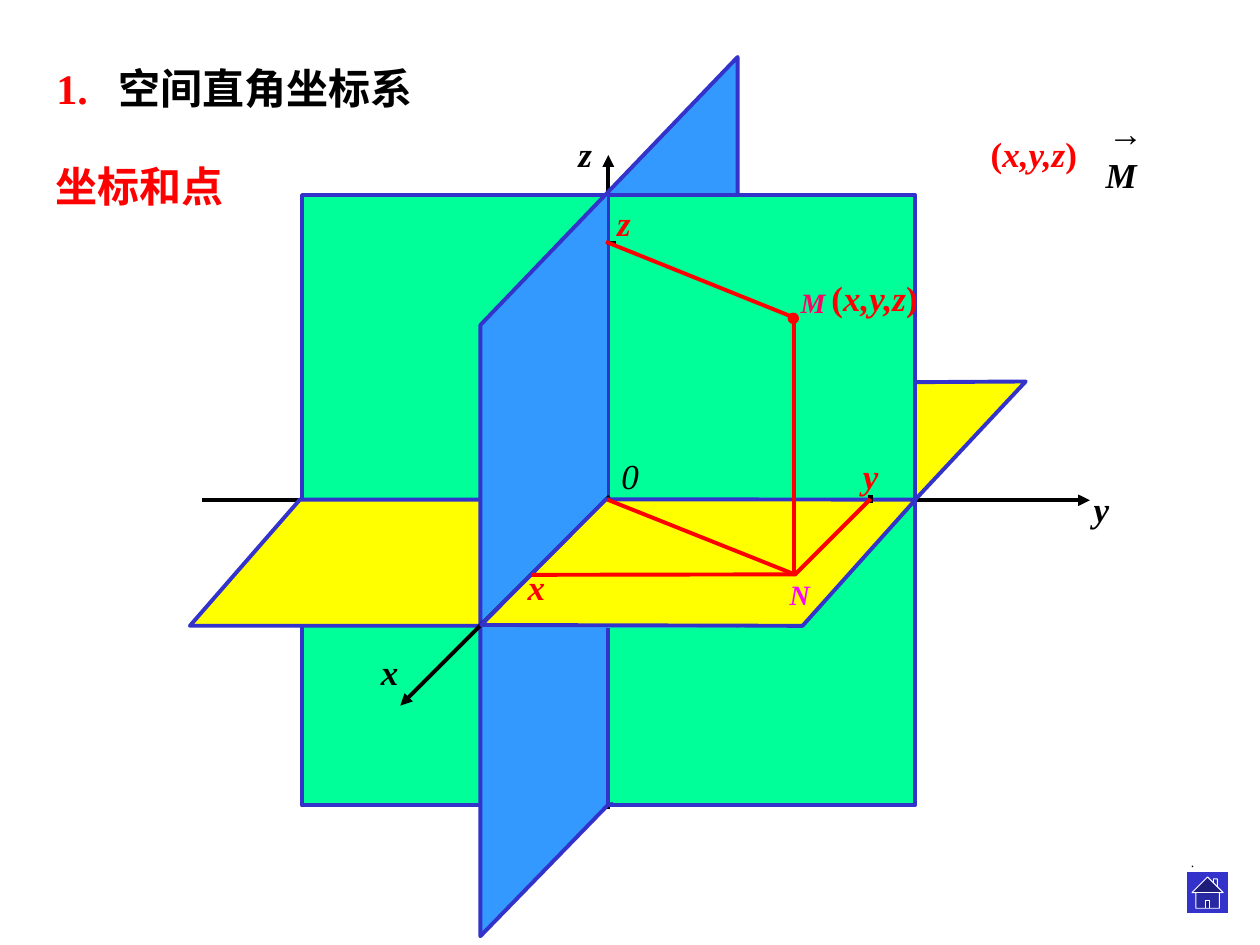
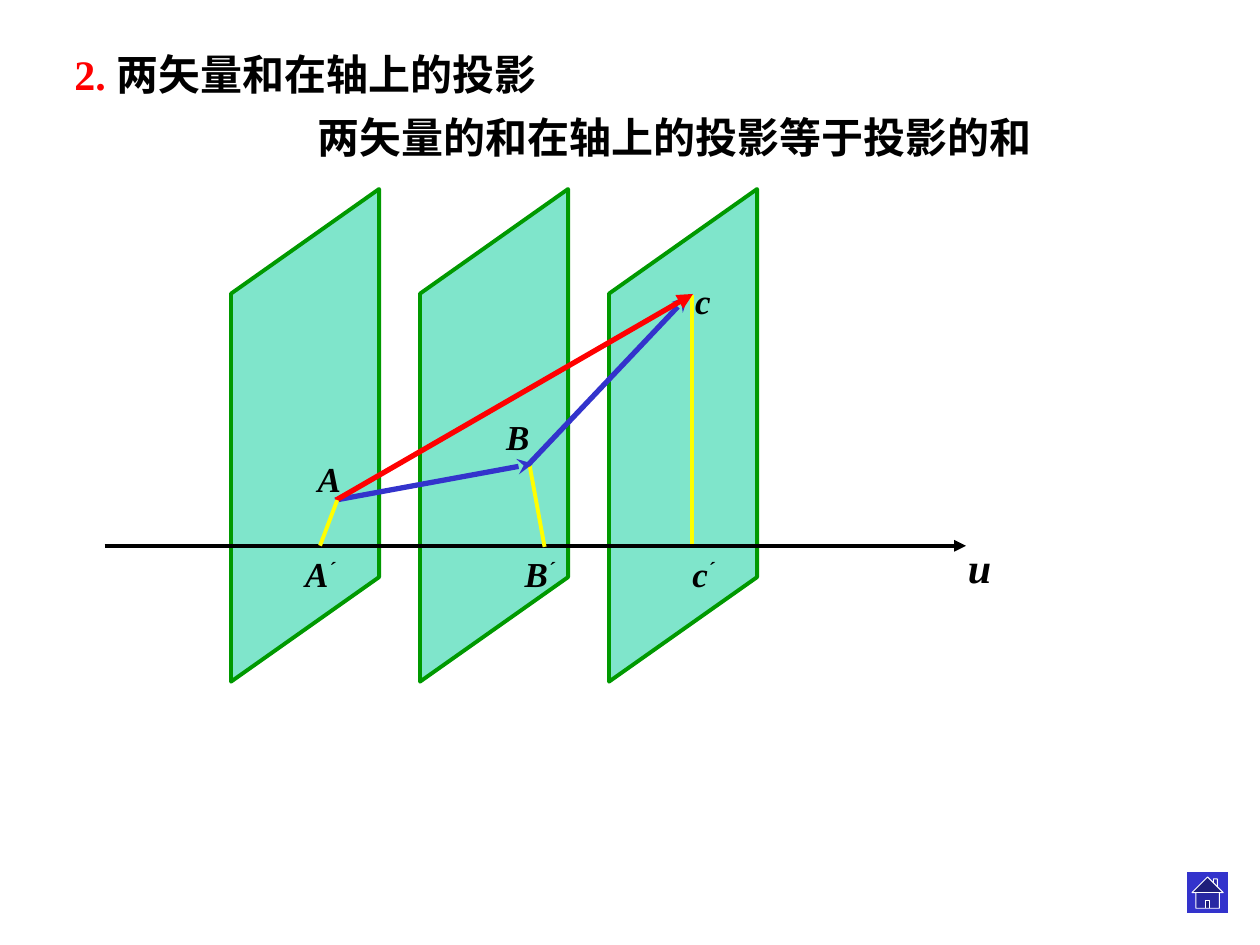
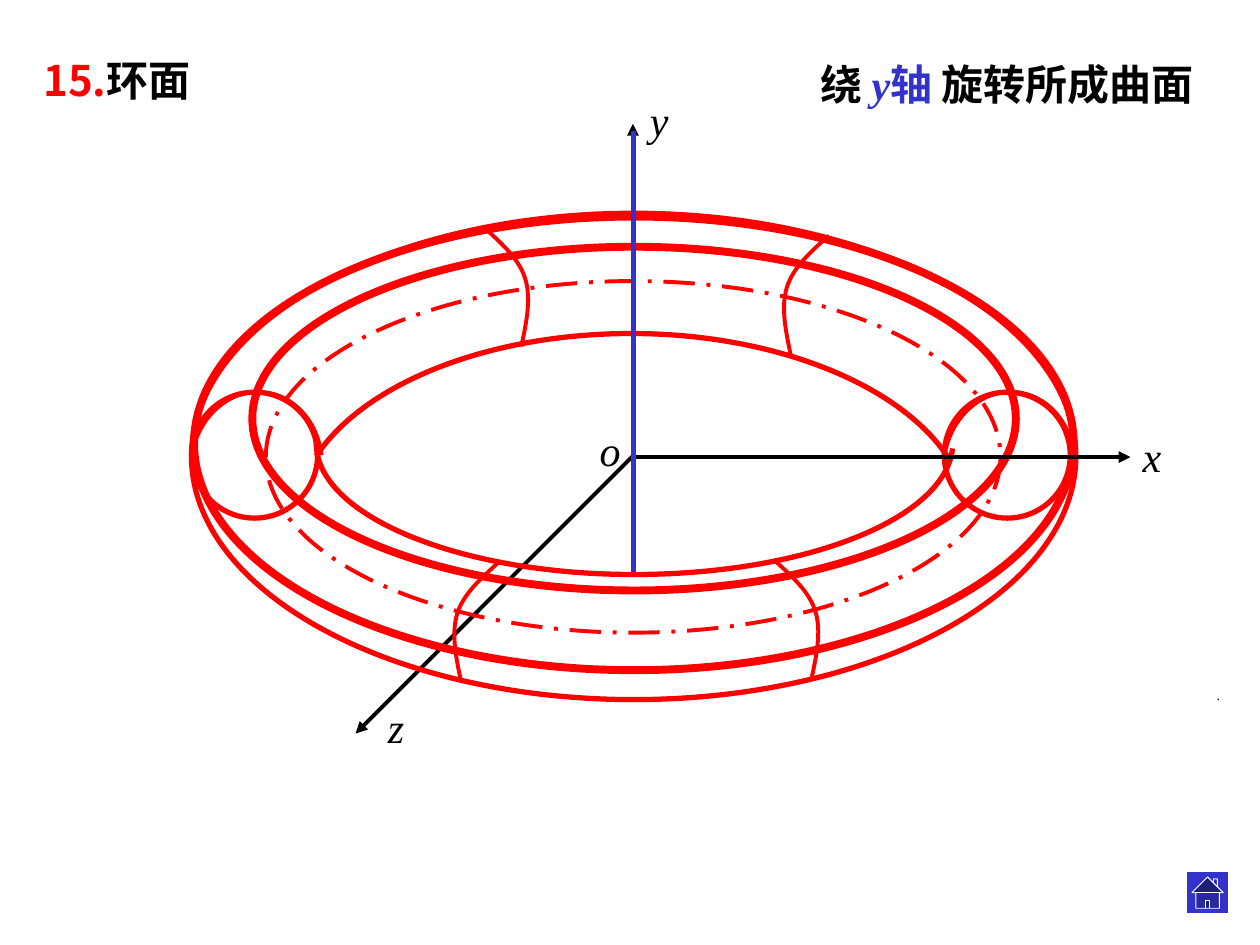
"""Build three slides on space coordinates, projections and the torus."""
import pptx
import pptx.dml.color
import pptx.enum.dml
import pptx.enum.shapes
import pptx.enum.text
import pptx.oxml.ns
import pptx.util
from lxml import etree

Pt = pptx.util.Pt
SHAPE = pptx.enum.shapes.MSO_SHAPE
ALIGN = pptx.enum.text.PP_ALIGN
ANCHOR = pptx.enum.text.MSO_ANCHOR
AUTO_SIZE = pptx.enum.text.MSO_AUTO_SIZE

BLACK, WHITE, RED, BLUE = "000000", "FFFFFF", "FF0000", "3333CC"
GREEN, SKY, YELLOW = "00FF99", "3399FF", "FFFF00"
LATIN, CJK = "Times New Roman", "Noto Sans CJK SC"
THIN, THICK, HEAVY = 2.25, 3, 4.5
HOME_BOX = (678.2, 498.2, 23.8, 23.8)
HEADING_TAB = 35.5

ORIGIN = (347.7, 285.9)
PANEL = (175.1, 174.4)
DOT = [(".", 8, BLACK, "")]

COORDINATE_TITLE = ((672.5, 480.2, 18, 25.2), ALIGN.CENTER, DOT)
COORDINATE_HEADING = ((25.2, 32.4, 225.4, 31),
                      [("1.\t", 24, RED, "b"), ("空间直角坐标系", 24, BLACK, "b")])
COORDINATE_FIGURE = [
    ("rectangle", (172.8, 112.3, 349.9, 347), GREEN, BLUE, THICK),
    ("line", (115.2, 285.9), (622.8, 285.9), BLACK, THIN, "triangle"),
    ("line", (347.6, 462.2), (347.6, 88.6), BLACK, THIN, "triangle"),
    ("panel", -1, 0),
    ("panel", 0, 0),
    ("panel", -1, -1),
    ("area", [(522.7, 218.4), (522.7, 285.8), (586.1, 218)], YELLOW, BLUE),
    ("area", [(108.5, 357.6), (278.6, 357.6), (346.3, 285.5), (171.4, 285.5)], YELLOW, BLUE),
    ("area", [(421.5, 32.6), (274.5, 185.8), (274.5, 535), (421.5, 383.8)], SKY, BLUE),
    ("panel", 0, -1),
    ("line", (348.3, 283.7), (228.8, 403.2), BLACK, THIN, "triangle"),
    ("area", [(275, 357.1), (458.6, 357.6), (523.2, 285.5), (346.3, 285.3)], YELLOW, BLUE),
    ("area", [(347.6, 358.6), (347.6, 458.6), (354.2, 457.9), (425.5, 388.8), (425.5, 358.6)],
     GREEN, None),
    ("line", (347.6, 358.6), (347.6, 460), BLUE, THIN),
    ("oval", (450.4, 179, 5.8, 5.8), RED, 0.75, RED),
    ("line", (453.6, 180.7), (453.6, 329), RED, THIN),
    ("line", (347, 285.5), (454.3, 328.3), RED, THIN),
    ("line", (303.8, 328.5), (308.2, 328.5), BLACK, THIN),
    ("line", (455, 328.2), (303.8, 328.5), RED, THIN),
    ("line", (497.5, 283), (497.5, 287.3), BLACK, THICK),
    ("line", (454.3, 328.3), (497.5, 285.1), RED, THIN),
    ("line", (347, 139), (352, 139), BLACK, THIN),
    ("line", (346.3, 138.2), (453.6, 181.4), RED, THIN),
]
TRIPLE = [("(", 20, RED, "b"), ("x,y,z", 20, RED, "bi"), (")", 20, RED, "b")]
COORDINATE_LABELS = [
    ((300.2, 72, 68.4, 31), "center", [("z", 20, BLACK, "bi")]),
    ((609.6, 275.2, 39.6, 31), "center", [("y", 20, BLACK, "bi")]),
    ((194.9, 368.1, 55.4, 31), "center", [("x", 20, BLACK, "bi")]),
    ((347.8, 256.3, 24.5, 31), "center", [("0", 20, BLACK, "i")]),
    ((450.4, 159.6, 28.8, 26.6), "left", [("M", 16, "FF0066", "bi")]),
    ((294.5, 319.7, 24.5, 31), "left", [("x", 20, RED, "bi")]),
    ((486, 256.3, 23, 31), "left", [("y", 20, RED, "bi")]),
    ((444.2, 326.2, 25.9, 26.6), "left", [("N", 16, "FF00FF", "bi")]),
    ((345.6, 111.6, 22.3, 31), "left", [("z", 20, RED, "bi")]),
    ((468, 154.6, 64.1, 31), "left", TRIPLE),
    ((558.7, 72, 64.1, 31), "center", TRIPLE),
    ((23.8, 88.4, 111.6, 36), "center", [("坐标和点", 24, RED, "b")]),
    ((609.8, 72, 61.9, 31), "wrapped center",
     [(" ", 20, BLACK, "bi"), ("→", 20, BLACK, "b"), (" M", 20, BLACK, "bi")]),
]

PROJECTION_TITLE = ((35.3, 24, 347.8, 36), ALIGN.LEFT,
                    [("2. ", 24, RED, "b"), ("两矢量和在轴上的投影", 24, BLACK, "b")])
PROJECTION_PLANES = [
    ("area", [(left, 167.8), (left, 389.5), (left + 84.6, 329.8), (left + 84.6, 108)],
     "00CC99", "009900", 50)
    for left in (348, 240, 132)
]
PROJECTION_FIGURE = PROJECTION_PLANES + [
    ("line", (395.3, 168.5), (395.3, 312.5), YELLOW, THIN),
    ("line", (59.8, 311.9), (552, 311.9), BLACK, THIN, "triangle"),
    ("line", (302.6, 265.7), (311.2, 312.5), YELLOW, THIN),
    ("line", (191.5, 285.8), (304.6, 265), BLUE, THICK, "stealth"),
    ("line", (301.7, 265.7), (393.1, 169.2), BLUE, THICK, "stealth"),
    ("line", (192, 285.8), (396, 168), RED, THICK, "triangle"),
    ("line", (192.7, 285.8), (182.9, 311.8), YELLOW, THIN),
]
PROJECTION_LABELS = [
    ((545.8, 306, 28, 36), "center", [("u", 24, BLACK, "bi")]),
    ((174.2, 60.1, 427, 36), "left", [("两矢量的和在轴上的投影等于投影的和", 24, BLACK, "b")]),
] + [
    ((left, top, width, 31), "center", [(point, 20, BLACK, "bi")])
    for point, left, top, width in (("A", 174.2, 257.8, 28), ("B", 282, 234, 28),
                                    ("c", 390.2, 156.2, 23))
] + [
    ((left, 312, width, 31), "center", [(foot, 20, BLACK, "bi"), ("´", 20, BLACK, "bi^")])
    for foot, left, width in (("A", 162.5, 41), ("B", 288, 41), ("c", 383.6, 36.7))
]

TORUS_TITLE = ((690.2, 388.8, 12.2, 16.6), ALIGN.CENTER, DOT)
TORUS_HEADING = ((17.7, 27.4, 126.7, 43.2),
                 [("15.", 24, RED, "bn"), ("环面", 24, BLACK, "b")])
RIB = [(0, 0), (10.1, 9.4), (20.2, 18), (23.8, 29.5), (27.4, 41), (24.5, 54.7), (21.6, 68.4)]
RIB_STARTS = [(442.1, 319.7, 1), (276.3, 129.6, 1), (473.5, 134.6, -1), (285.1, 321.1, -1)]
CROWN = [(0, 37.5), (2.9, 14.4), (21.6, -2.1), (41, 0), (58.3, 1.5), (72, 16.6), (74.2, 36)]
SECTION_LEFTS = (109.5, 539.6)
SECTION_TOP = 224.1
TORUS_FIGURE = [
    ("line", (362.2, 260), (203.2, 419.2), BLACK, THIN, "triangle"),
] + [
    ("oval", (left, SECTION_TOP, 72, 72), RED, THICK) for left in SECTION_LEFTS
] + [
    ("oval", (110.9, 123.8, 502.6, 259.2), RED, HEAVY),
    ("oval", (144.2, 141, 436.3, 196.4), RED, HEAVY),
    ("oval", (151.9, 160.6, 419.8, 200.9), RED, THIN, None,
     pptx.enum.dml.MSO_LINE.LONG_DASH_DOT),
    ("oval", (109.4, 121.9, 505.4, 277.9), RED, THICK),
] + [
    ("curve", [(left + side * x, top + y) for x, y in RIB], THIN)
    for left, top, side in RIB_STARTS
] + [
    ("curve", [(180.7, 260.6), (208.8, 218.2), (280.8, 190.6), (360.7, 190.6),
               (442.1, 190.6), (514.8, 219.6), (542.2, 262.1)], THICK),
    ("curve", [(180.7, 252), (180.7, 252), (180.7, 252.7), (180.7, 253.4),
               (180.7, 294.5), (262.1, 328.3), (362.2, 328.3),
               (460.1, 328.3), (540, 296.6), (544.3, 256.3)], THICK),
] + [
    ("curve", [(left + x, SECTION_TOP + y) for x, y in CROWN], THIN) for left in SECTION_LEFTS
] + [
    ("line", (361.7, 326.9), (361.7, 70.8), BLACK, THIN, "triangle"),
    ("line", (360.7, 261.2), (646, 261.2), BLACK, THIN, "triangle"),
    ("line", (362, 326.9), (362, 74.9), BLUE, THICK),
]
TORUS_LABELS = [
    ((461.5, 29.9, 258.5, 36), "wrapped left",
     [("绕 ", 24, BLACK, "b"), ("y", 24, BLUE, "bi"),
      ("轴", 24, BLUE, "b"), (" 旋转所成曲面", 24, BLACK, "b")]),
] + [
    ((left, top, width, 36), "wrapped left", [(axis, 24, BLACK, "i")])
    for axis, left, top, width in (("z", 214.6, 397.4, 38.9), ("y", 364.3, 50.4, 40.3),
                                   ("x", 645.9, 242.6, 31), ("o", 335.6, 239, 18.7))
]

SLIDES = [
    (COORDINATE_TITLE, COORDINATE_HEADING, COORDINATE_FIGURE, COORDINATE_LABELS),
    (PROJECTION_TITLE, None, PROJECTION_FIGURE, PROJECTION_LABELS),
    (TORUS_TITLE, TORUS_HEADING, TORUS_FIGURE, TORUS_LABELS),
]


def rgb(code):
    return pptx.dml.color.RGBColor.from_string(code)


def add_xml(parent, tag, **attributes):
    return etree.SubElement(parent, pptx.oxml.ns.qn(tag), attributes)


def paint(shape, fill, outline, width=THIN):
    shape.shadow.inherit = False
    if fill:
        shape.fill.solid()
        shape.fill.fore_color.rgb = rgb(fill)
    else:
        shape.fill.background()
    if outline:
        shape.line.color.rgb = rgb(outline)
        shape.line.width = Pt(width)
    else:
        shape.line.fill.background()


def add_line(slide, start, end, color, width, head=None):
    line = slide.shapes.add_connector(
        pptx.enum.shapes.MSO_CONNECTOR.STRAIGHT, *map(Pt, start + end))
    line.line.color.rgb = rgb(color)
    line.line.width = Pt(width)
    if head:
        add_xml(line.line._get_or_add_ln(), "a:tailEnd", type=head)
    add_xml(line._element.spPr, "a:effectLst")


def add_outline(slide, points, close):
    corners = [(Pt(x), Pt(y)) for x, y in points]
    builder = slide.shapes.build_freeform(*corners[0])
    builder.add_line_segments(corners[1:], close=close)
    return builder.convert_to_shape()


def add_area(slide, points, fill, outline, opacity=None):
    area = add_outline(slide, points, True)
    paint(area, fill, outline)
    if opacity:
        color = area._element.spPr.find(".//" + pptx.oxml.ns.qn("a:srgbClr"))
        add_xml(color, "a:alpha", val=str(opacity * 1000))


def add_curve(slide, controls, width):
    curve = add_outline(slide, controls, False)
    segments = list(curve._element.iter(pptx.oxml.ns.qn("a:lnTo")))
    outline = segments[0].getparent()
    for first in range(0, len(segments), 3):
        bezier = add_xml(outline, "a:cubicBezTo")
        for segment in segments[first:first + 3]:
            bezier.append(segment[0])
            outline.remove(segment)
    paint(curve, None, RED, width)


def add_preset(slide, kind, box, fill, outline, width=THIN):
    shape = slide.shapes.add_shape(kind, *map(Pt, box))
    paint(shape, fill, outline, width)
    return shape


def add_rectangle(slide, box, fill, outline, width=THIN):
    return add_preset(slide, SHAPE.RECTANGLE, box, fill, outline, width)


def add_panel(slide, column, row):
    corner = (ORIGIN[0] + column * PANEL[0], ORIGIN[1] + row * PANEL[1])
    add_rectangle(slide, corner + PANEL, GREEN, BLUE)


def add_oval(slide, box, outline, width, fill=None, dash=None):
    oval = add_preset(slide, SHAPE.OVAL, box, fill, outline, width)
    if dash:
        oval.line.dash_style = dash


def write(frame, runs, align, anchor, wrap, auto_size):
    frame.auto_size = auto_size
    frame.vertical_anchor = anchor
    frame.word_wrap = wrap
    paragraph = frame.paragraphs[0]
    paragraph.alignment = align
    for text, size, color, style in runs:
        run = paragraph.add_run()
        run.text = text
        font = run.font
        font.size, font.color.rgb = Pt(size), rgb(color)
        font.bold, font.italic = "b" in style, "i" in style
        font.name = CJK if "n" in style else LATIN
        add_xml(run._r.get_or_add_rPr(), "a:ea", typeface=CJK)
        if "^" in style:
            run._r.get_or_add_rPr().set("baseline", "30000")


def set_title(slide, box, align, runs):
    title = slide.shapes.title
    title.left, title.top, title.width, title.height = map(Pt, box)
    write(title.text_frame, runs, align, ANCHOR.MIDDLE, True, AUTO_SIZE.NONE)


def add_heading(slide, box, runs):
    frame = add_rectangle(slide, box, WHITE, None).text_frame
    tabs = add_xml(frame.paragraphs[0]._p.get_or_add_pPr(), "a:tabLst")
    add_xml(tabs, "a:tab", pos=str(Pt(HEADING_TAB)), algn="l")
    write(frame, runs, ALIGN.LEFT, ANCHOR.TOP, True, AUTO_SIZE.NONE)


def add_label(slide, box, layout, runs):
    frame = slide.shapes.add_textbox(*map(Pt, box)).text_frame
    align = ALIGN.CENTER if "center" in layout else ALIGN.LEFT
    write(frame, runs, align, ANCHOR.MIDDLE, "wrapped" in layout, AUTO_SIZE.NONE)


DRAW = {"line": add_line, "area": add_area, "curve": add_curve,
        "rectangle": add_rectangle, "panel": add_panel, "oval": add_oval}


def main():
    deck = pptx.Presentation()
    deck.slide_width, deck.slide_height = Pt(720), Pt(540)
    for title, heading, figure, labels in SLIDES:
        slide = deck.slides.add_slide(deck.slide_layouts[5])
        set_title(slide, *title)
        if heading:
            add_heading(slide, *heading)
        for kind, *details in figure:
            DRAW[kind](slide, *details)
        for label in labels:
            add_label(slide, *label)
        add_preset(slide, SHAPE.ACTION_BUTTON_HOME, HOME_BOX, BLUE, WHITE, 0.5)
    deck.save("out.pptx")


if __name__ == "__main__":
    main()
